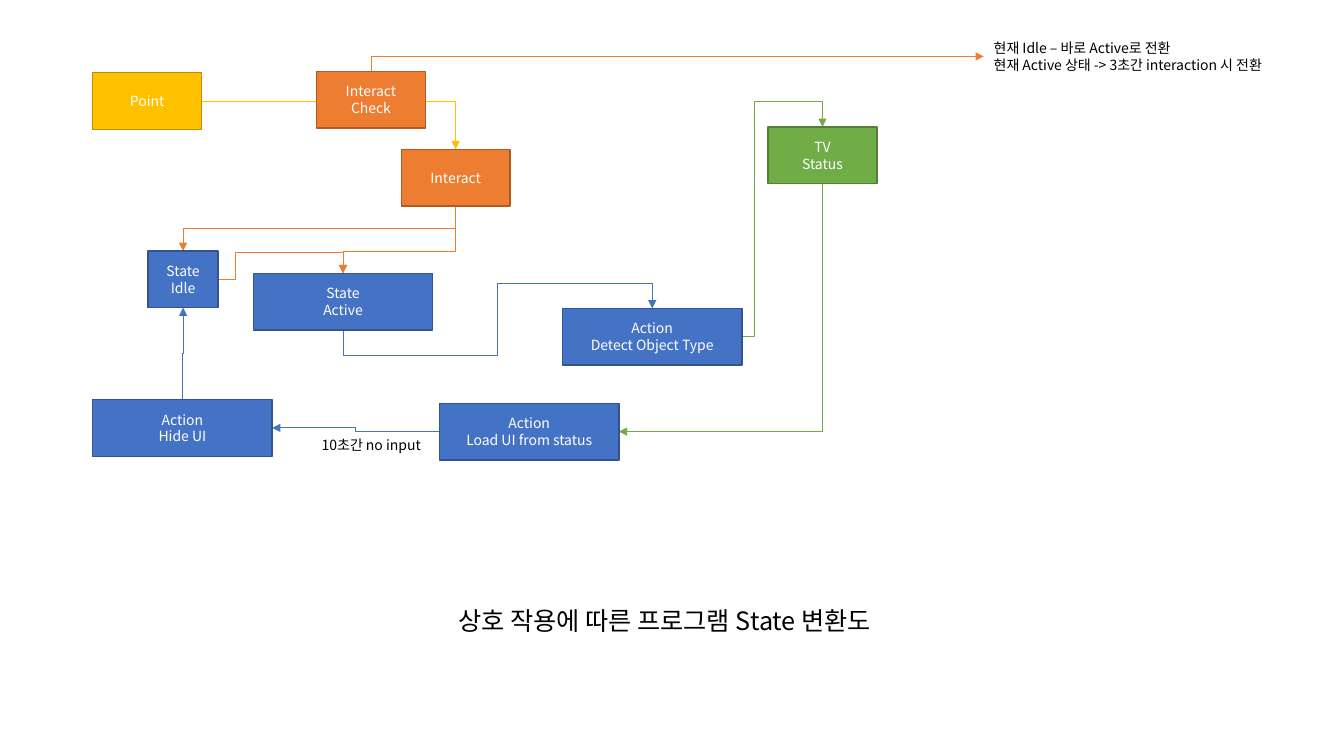
from lxml.etree import SubElement
from pptx import Presentation
from pptx.dml.color import RGBColor
from pptx.enum.shapes import MSO_CONNECTOR as Connector, MSO_SHAPE as Shape
from pptx.enum.text import MSO_ANCHOR as Anchor, PP_ALIGN as Align
from pptx.oxml.ns import qn
from pptx.util import Inches, Pt

FONT = "Noto Sans CJK KR"
BLUE, ORANGE, GREEN, YELLOW = "4472C4", "ED7D31", "70AD47", "FFC000"
EDGES = {BLUE: "325491", ORANGE: "AF5C24", GREEN: "538035", YELLOW: "BD8E00"}
TOP, LEFT, BOTTOM, RIGHT = range(4)
NARROW, WIDE, BOX_HEIGHT = 8.1, 13.35, 7.5


def paint(color_format, hex_color):
    color_format.rgb = RGBColor.from_string(hex_color)


def write(box, text, size=10, color="000000", align=Align.LEFT, anchor=Anchor.TOP, wrap=True):
    frame = box.text_frame
    frame.word_wrap = wrap
    frame.vertical_anchor = anchor
    for number, line in enumerate(text.split("\n")):
        para = frame.add_paragraph() if number else frame.paragraphs[0]
        para.alignment = align
        span = para.add_run()
        span.text = line
        span.font.size = Pt(size)
        span.font.name = FONT
        paint(span.font.color, color)
        SubElement(span.font._element, qn("a:ea"), typeface=FONT)


deck = Presentation()
deck.slide_width, deck.slide_height = Inches(13.33), Inches(7.5)
page = deck.slides.add_slide(deck.slide_layouts[6])
column, row = deck.slide_width / 100, deck.slide_height / 100

nodes = {}
for name, text, left, top, width, color in [
    ("idle", "State\nIdle", 11.02, 33.2, 5.2, BLUE),
    ("interact", "Interact", 29.85, 19.75, NARROW, ORANGE),
    ("tv", "TV\nStatus", 57.15, 16.8, NARROW, GREEN),
    ("detect", "Action\nDetect Object Type", 41.85, 40.8, WIDE, BLUE),
    ("load", "Action\nLoad UI from status", 32.7, 53.35, WIDE, BLUE),
    ("point", "Point", 6.9, 9.6, NARROW, YELLOW),
    ("hide", "Action\nHide UI", 6.9, 52.85, WIDE, BLUE),
    ("check", "Interact Check", 23.55, 9.45, NARROW, ORANGE),
    ("active", "State\nActive", 18.85, 36.15, WIDE, BLUE),
]:
    box = page.shapes.add_shape(Shape.RECTANGLE, int(left * column), int(top * row),
                                int(width * column), int(BOX_HEIGHT * row))
    box.shadow.inherit = False
    box.fill.solid()
    paint(box.fill.fore_color, color)
    paint(box.line.color, EDGES[color])
    box.line.width = Pt(1)
    write(box, text, color="FFFFFF", align=Align.CENTER, anchor=Anchor.MIDDLE)
    nodes[name] = box

for name, text, left, top, width, height, style in [
    ("title", "상호 작용에 따른 프로그램 State 변환도", 25.7, 79.35, 47.5, 5.35,
     {"size": 18, "align": Align.CENTER}),
    ("timeout", "10초간 no input", 23.2, 57.05, 9.5, 3.6, {"wrap": False}),
    ("rule", "현재 Idle – 바로 Active로 전환\n현재 Active 상태 -> 3초간 interaction 시 전환",
     73.2, 4.55, 24, 5.85, {"wrap": False}),
]:
    box = page.shapes.add_textbox(int(left * column), int(top * row),
                                  int(width * column), int(height * row))
    write(box, text, **style)
    nodes[name] = box

for source, source_side, target, target_side, color, bends in [
    ("interact", BOTTOM, "idle", TOP, ORANGE, [0.5]),
    ("idle", RIGHT, "active", TOP, ORANGE, [0.14, 4.46]),
    ("point", RIGHT, "interact", TOP, YELLOW, []),
    ("detect", RIGHT, "tv", TOP, GREEN, [0.16, 1.12]),
    ("tv", BOTTOM, "load", RIGHT, GREEN, []),
    ("load", LEFT, "hide", RIGHT, BLUE, [0.5]),
    ("hide", TOP, "idle", BOTTOM, BLUE, [0.5]),
    ("check", TOP, "rule", LEFT, ORANGE, []),
    ("active", BOTTOM, "detect", TOP, BLUE, [-1.18, 0.5, 2.18]),
    ("interact", BOTTOM, "active", TOP, ORANGE, [0.68]),
]:
    arrow = page.shapes.add_connector(Connector.ELBOW, 0, 0, 0, 0)
    arrow.begin_connect(nodes[source], source_side)
    arrow.end_connect(nodes[target], target_side)
    paint(arrow.line.color, color)
    arrow.line.width = Pt(0.5)

    across, down = arrow.end_x - arrow.begin_x, arrow.end_y - arrow.begin_y
    middle_x, middle_y = arrow.begin_x + across / 2, arrow.begin_y + down / 2
    upright = source_side in (TOP, BOTTOM)
    along, aside = (down, -across) if upright else (across, down)
    arrow.width, arrow.height = abs(along), abs(aside)
    arrow.left, arrow.top = int(middle_x - abs(along) / 2), int(middle_y - abs(aside) / 2)

    shape_format = arrow.element.spPr
    frame = shape_format.find(qn("a:xfrm"))
    frame.set("rot", "5400000" if upright else "0")
    frame.set("flipH", str(int(along < 0)))
    frame.set("flipV", str(int(aside < 0)))
    geometry = shape_format.find(qn("a:prstGeom"))
    geometry.set("prst", f"bentConnector{len(bends) + 2}")
    guides = geometry.find(qn("a:avLst"))
    for number, bend in enumerate(bends, 1):
        SubElement(guides, qn("a:gd"), name=f"adj{number}", fmla=f"val {round(bend * 100000)}")
    SubElement(shape_format.find(qn("a:ln")), qn("a:tailEnd"), type="triangle")
    SubElement(shape_format, qn("a:effectLst"))
    page.shapes._spTree.insert(2, arrow.element)

deck.save("out.pptx")
